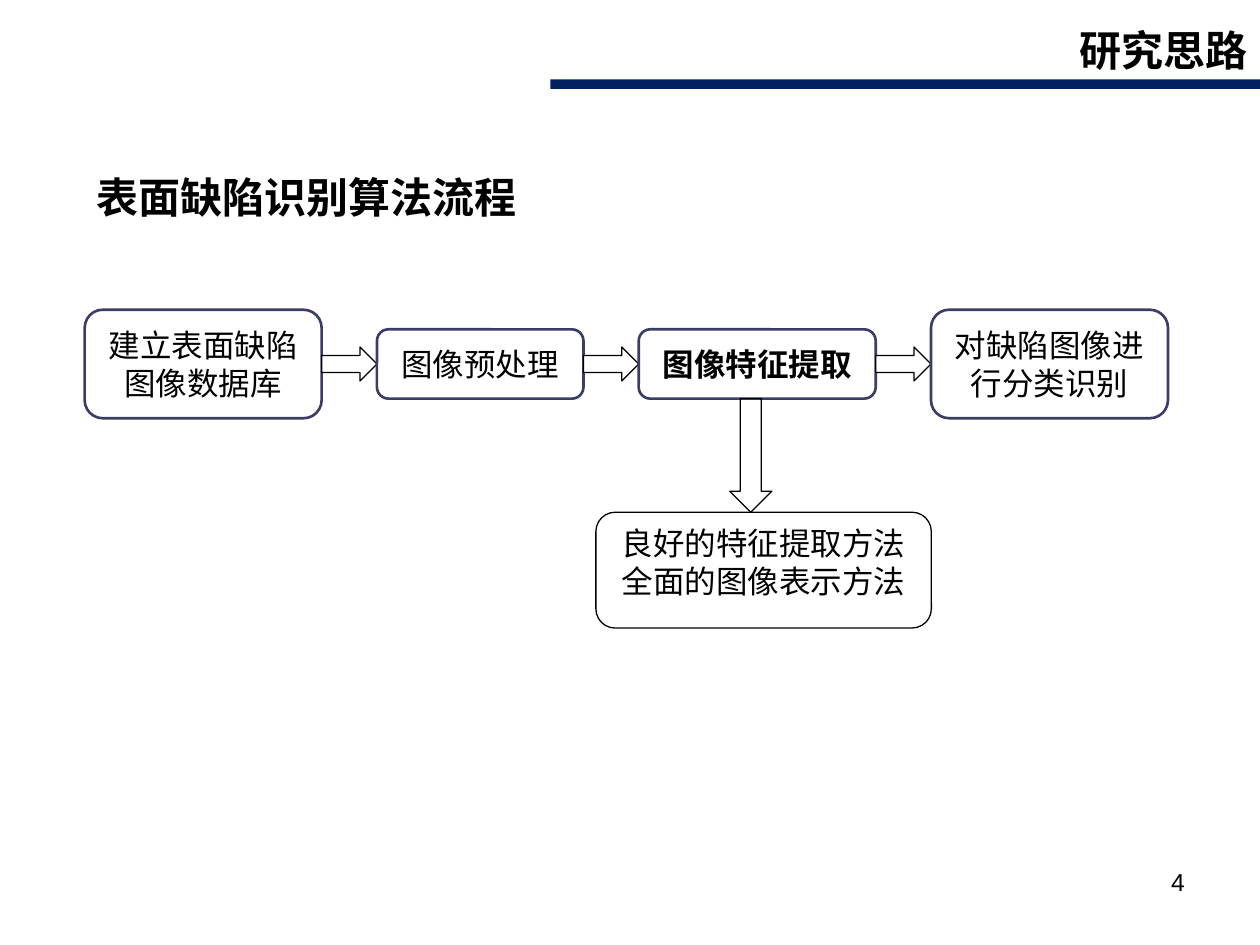
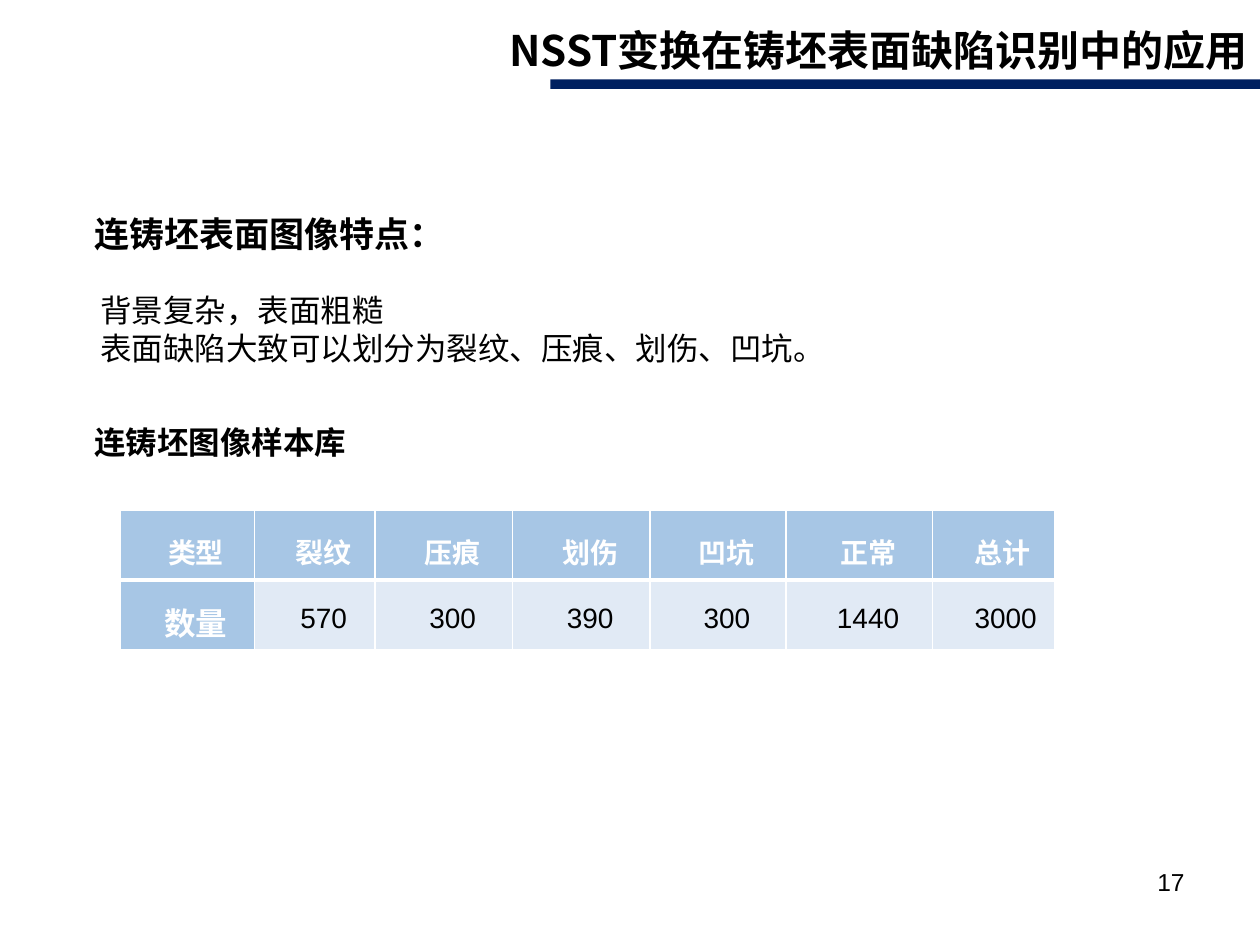
from pptx import Presentation
from pptx import util as u
from pptx.dml import color
from pptx.enum import shapes, text
from pptx.oxml import xmlchemy, ns
from lxml import etree

Pt = u.Pt
ALIGN = text.PP_ALIGN
ANCHOR = text.MSO_ANCHOR
FORM = shapes.MSO_SHAPE
CJK = "Noto Sans CJK SC"
BLACK, WHITE, NAVY = "000000", "FFFFFF", "002060"
OUTLINE, HEADER, CELL = "3C3D65", "A7C6E5", "E1EAF5"


def rgb(value):
    return color.RGBColor.from_string(value)


def write(frame, lines, size=18, font="Arial", tint=BLACK, bold=False,
          align=ALIGN.LEFT, anchor=ANCHOR.TOP, left=0, first=0, before=0,
          spacing=None, append=False):
    frame.word_wrap = True
    frame.vertical_anchor = anchor
    for index, line in enumerate(lines):
        fresh = append or index > 0
        paragraph = frame.add_paragraph() if fresh else frame.paragraphs[0]
        paragraph.alignment = align
        paragraph.space_before = Pt(before if index == 0 else 0)
        if spacing:
            paragraph.line_spacing = spacing
        properties = paragraph._p.get_or_add_pPr()
        properties.set("marL", str(Pt(left)))
        properties.set("indent", str(Pt(first)))
        run = paragraph.add_run()
        run.text = line
        run.font.name = font
        run.font.size = Pt(size)
        run.font.bold = bold
        run.font.color.rgb = rgb(tint)
        east_asian = etree.SubElement(run._r.get_or_add_rPr(), ns.qn("a:ea"))
        east_asian.set("typeface", CJK)


def add_text(slide, box, lines, **style):
    shape = slide.shapes.add_textbox(*map(Pt, box))
    write(shape.text_frame, lines, **style)
    return shape


def add_form(slide, kind, box, fill=None, line=None, weight=0.75):
    shape = slide.shapes.add_shape(kind, *map(Pt, box))
    shape.shadow.inherit = False
    if fill:
        shape.fill.solid()
        shape.fill.fore_color.rgb = rgb(fill)
    else:
        shape.fill.background()
    if line:
        shape.line.color.rgb = rgb(line)
        shape.line.width = Pt(weight)
    else:
        shape.line.fill.background()
    return shape


def add_page(presentation, title, number):
    slide = presentation.slides.add_slide(presentation.slide_layouts[6])
    add_form(slide, FORM.RECTANGLE, (314.6, 45.4, 405.4, 5.4), fill=NAVY)
    add_text(slide, (260, 10.4, 460, 36), [title], size=24, font=CJK,
             bold=True, align=ALIGN.RIGHT)
    add_text(slide, (516, 492, 168, 37), [str(number)], size=14,
             align=ALIGN.RIGHT)
    return slide


def add_flow(slide, box, steps):
    x, y, width, height = box
    middle = y + height / 2
    gap = (width - sum(step[1] for step in steps)) / (len(steps) - 1)
    for index, (label, step_width, step_height, bold) in enumerate(steps):
        step = add_form(slide, FORM.ROUNDED_RECTANGLE,
                        (x, middle - step_height / 2, step_width, step_height),
                        line=OUTLINE, weight=1.5)
        write(step.text_frame, [label], font=CJK, bold=bold,
              align=ALIGN.CENTER, anchor=ANCHOR.MIDDLE)
        x += step_width
        if index < len(steps) - 1:
            add_form(slide, FORM.RIGHT_ARROW, (x, middle - 9.7, gap, 19.4),
                     fill=WHITE, line=BLACK)
        x += gap


def add_requirements(slide, box, lines):
    x, y, width, height = box
    arrow_height = 65
    add_form(slide, FORM.DOWN_ARROW, (x + 76.5, y, 24, arrow_height),
             line=BLACK)
    result = add_form(slide, FORM.ROUNDED_RECTANGLE,
                      (x, y + arrow_height, width, height - arrow_height),
                      line=BLACK)
    write(result.text_frame, lines, align=ALIGN.CENTER)


def set_borders(cell, bottom):
    properties = cell._tc.get_or_add_tcPr()
    weights = {"lnL": 1, "lnR": 1, "lnT": 1, "lnB": bottom}
    for index, (side, weight) in enumerate(weights.items()):
        border = etree.Element(ns.qn("a:" + side), w=str(Pt(weight)))
        fill = etree.SubElement(border, ns.qn("a:solidFill"))
        etree.SubElement(fill, ns.qn("a:srgbClr"), val=WHITE)
        properties.insert(index, border)


def add_samples(slide, box, widths, rows):
    frame = slide.shapes.add_table(len(rows), len(widths), *map(Pt, box))
    table = frame.table
    for column, width in zip(table.columns, widths):
        column.width = Pt(width)
    for row_index, values in enumerate(rows):
        table.rows[row_index].height = Pt(box[3] / len(rows))
        for column_index, value in enumerate(values):
            cell = table.cell(row_index, column_index)
            heading = row_index == 0 or column_index == 0
            corner = row_index == 1 and column_index == 0
            total = row_index == 1 and column_index == len(widths) - 1
            cell.fill.solid()
            cell.fill.fore_color.rgb = rgb(HEADER if heading else CELL)
            cell.margin_left = cell.margin_right = Pt(5)
            cell.margin_top = cell.margin_bottom = 0
            write(cell.text_frame, [value], size=18 if corner else 16,
                  font="Times New Roman" if corner else "Arial",
                  tint=WHITE if heading else BLACK, bold=heading,
                  align=ALIGN.LEFT if total else ALIGN.CENTER,
                  first=19 if total else 10, spacing=1.3)
            cell.vertical_anchor = ANCHOR.MIDDLE
            set_borders(cell, 3 if row_index == 0 else 1)


def build_process(presentation):
    slide = add_page(presentation, "研究思路", 4)
    add_text(slide, (48.2, 94.3, 301, 36), ["表面缺陷识别算法流程"],
             size=24, bold=True)
    add_flow(slide, (48.4, 177, 619, 62), [
        ("建立表面缺陷图像数据库", 135.4, 62, False),
        ("图像预处理", 118, 39.6, False),
        ("图像特征提取", 135.4, 39.6, True),
        ("对缺陷图像进行分类识别", 135.4, 62, False),
    ])
    add_requirements(slide, (340.5, 227.7, 191.7, 131.2),
                     ["良好的特征提取方法", "全面的图像表示方法"])


def build_dataset(presentation):
    slide = add_page(presentation, "NSST变换在铸坯表面缺陷识别中的应用", 17)
    features = add_text(slide, (38.2, 118, 624, 119), ["连铸坯表面图像特点："],
                        size=20, bold=True, left=8.6)
    write(features.text_frame,
          ["背景复杂，表面粗糙", "表面缺陷大致可以划分为裂纹、压痕、划伤、凹坑。"],
          left=12, before=21, append=True)
    add_text(slide, (38.2, 238.3, 190, 29), ["连铸坯图像样本库"],
             bold=True, left=8.6)
    add_samples(slide, (68.6, 291.8, 534, 79.2),
                [76.8, 69, 78.6, 78.6, 77.6, 83.8, 69.6], [
                    ["类型", "裂纹", "压痕", "划伤", "凹坑", "正常", "总计"],
                    ["数量", "570", "300", "390", "300", "1440", "3000"],
                ])


def main():
    presentation = Presentation()
    presentation.slide_width = Pt(720)
    presentation.slide_height = Pt(540)
    build_process(presentation)
    build_dataset(presentation)
    presentation.save("out.pptx")


main()
